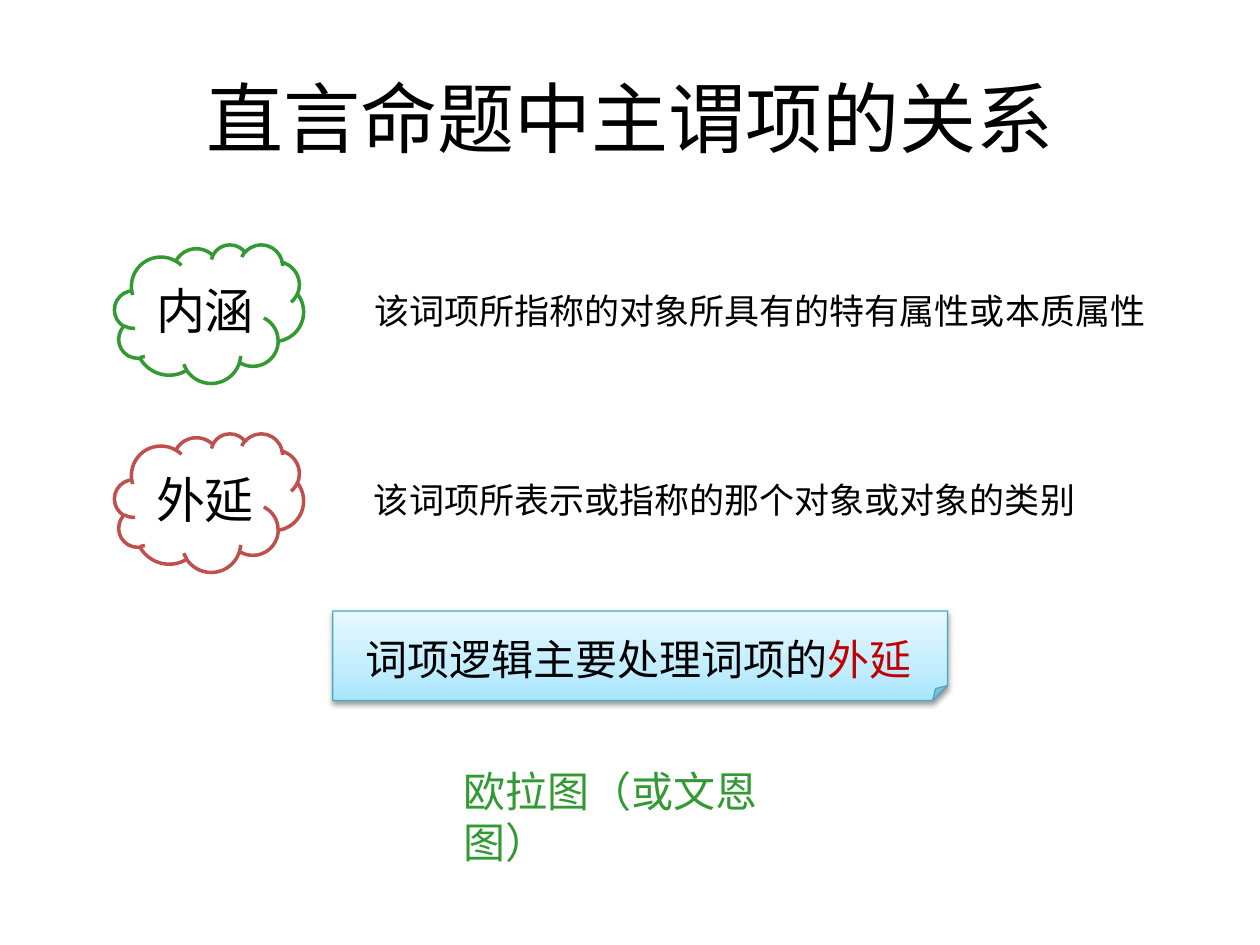
from dataclasses import dataclass

from lxml.etree import SubElement
from pptx import Presentation
from pptx.dml.color import RGBColor
from pptx.enum.shapes import MSO_SHAPE as Shape
from pptx.enum.text import MSO_ANCHOR as Anchor, MSO_AUTO_SIZE as AutoSize, PP_ALIGN as Align
from pptx.oxml import parse_xml
from pptx.oxml.ns import nsdecls, qn
from pptx.util import Inches, Pt


@dataclass(frozen=True)
class Theme:
    """Colours, fonts and type sizes of the slide."""
    black: str = "000000"
    white: str = "FFFFFF"
    green: str = "339933"
    red: str = "C0504D"
    accent: str = "C00000"
    note_line: str = "46AAC5"
    note_stops: tuple = ((0, "A7E6FF"), (35, "C1EDFF"), (100, "E7F8FF"))
    heading_font: str = "Noto Sans CJK JP"
    body_font: str = "Noto Sans CJK SC"
    title_size: int = 44
    term_size: int = 28
    note_size: int = 24
    meaning_size: int = 20


class SlideBuilder:
    """Holds the theme and the current slide, and adds its elements."""

    def __init__(self, slide, theme):
        self.slide = slide
        self.theme = theme

    def add_runs(self, paragraph, runs, size, font):
        """Add (text, colour) runs to a paragraph."""
        for words, colour in runs:
            run = paragraph.add_run()
            run.text = words
            run.font.size = Pt(size)
            run.font.name = font
            run.font.color.rgb = RGBColor.from_string(colour)
            SubElement(run.font._element, qn("a:ea"), typeface=font)

    def title(self, words):
        """Fill the title placeholder."""
        heading = self.slide.shapes.title
        heading.left, heading.top, heading.width, heading.height = map(Inches, (0.5, 0.3, 9, 1.25))
        heading.text_frame.vertical_anchor = Anchor.MIDDLE
        paragraph = heading.text_frame.paragraphs[0]
        paragraph.alignment = Align.CENTER
        self.add_runs(paragraph, [(words, self.theme.black)], self.theme.title_size, self.theme.heading_font)

    def text(self, box, runs, size, font):
        """Add a wrapping text box that grows with its text."""
        frame = self.slide.shapes.add_textbox(*map(Inches, box)).text_frame
        frame.word_wrap = True
        frame.auto_size = AutoSize.SHAPE_TO_FIT_TEXT
        self.add_runs(frame.paragraphs[0], runs, size, font)

    def outline(self, kind, box, line, weight):
        """Add a white preset shape with a coloured outline."""
        shape = self.slide.shapes.add_shape(kind, *map(Inches, box))
        shape.shadow.inherit = False
        shape.fill.solid()
        shape.fill.fore_color.rgb = RGBColor.from_string(self.theme.white)
        shape.line.color.rgb = RGBColor.from_string(line)
        shape.line.width = Pt(weight)
        return shape

    def note(self, box):
        """Add a folded note with a gradient fill and a soft shadow."""
        properties = self.outline(Shape.FOLDED_CORNER, box, self.theme.note_line, 0.75)._element.spPr
        stops = "".join(
            f'<a:gs pos="{place * 1000}"><a:srgbClr val="{colour}"/></a:gs>'
            for place, colour in self.theme.note_stops
        )
        gradient = parse_xml(
            f'<a:gradFill {nsdecls("a")} rotWithShape="1"><a:gsLst>{stops}</a:gsLst>'
            '<a:lin ang="16200000" scaled="0"/></a:gradFill>'
        )
        properties.replace(properties.find(qn("a:solidFill")), gradient)
        properties.find(qn("a:effectLst")).append(parse_xml(
            f'<a:outerShdw {nsdecls("a")} blurRad="{Pt(3.1)}" dist="{Pt(1.6)}" dir="5400000" rotWithShape="0">'
            f'<a:srgbClr val="{self.theme.black}"><a:alpha val="38000"/></a:srgbClr></a:outerShdw>'
        ))

    def definition(self, top, term, meaning, colour, meaning_width):
        """Add a term in a cloud with its meaning beside it."""
        theme = self.theme
        self.outline(Shape.CLOUD, (0.91, top, 1.5, 1.1), colour, 2)
        self.text((1.14, top + 0.24, 2.05, 0.57), [(term, theme.black)], theme.term_size, theme.body_font)
        self.text((2.87, top + 0.31, meaning_width, 0.44), [(meaning, theme.black)],
                  theme.meaning_size, theme.body_font)


def main():
    """Build and save the slide."""
    theme = Theme()
    deck = Presentation()
    deck.slide_width, deck.slide_height = Inches(10), Inches(7.5)
    builder = SlideBuilder(deck.slides.add_slide(deck.slide_layouts[5]), theme)
    builder.title("直言命题中主谓项的关系")
    definitions = (
        ("内涵", "该词项所指称的对象所具有的特有属性或本质属性", theme.green, 6.38),
        ("外延", "该词项所表示或指称的那个对象或对象的类别", theme.red, 6.06),
    )
    for row, definition in enumerate(definitions):
        builder.definition(1.94 + 1.5 * row, *definition)
    builder.note((2.64, 4.85, 4.88, 0.71))
    builder.text((2.8, 4.98, 4.65, 0.5),
                 [("词项逻辑主要处理词项的", theme.black), ("外延", theme.accent)],
                 theme.note_size, theme.body_font)
    builder.text((3.58, 6.03, 3.07, 0.5), [("欧拉图（或文恩图）", theme.green)],
                 theme.note_size, theme.heading_font)
    deck.save("out.pptx")


if __name__ == "__main__":
    main()
